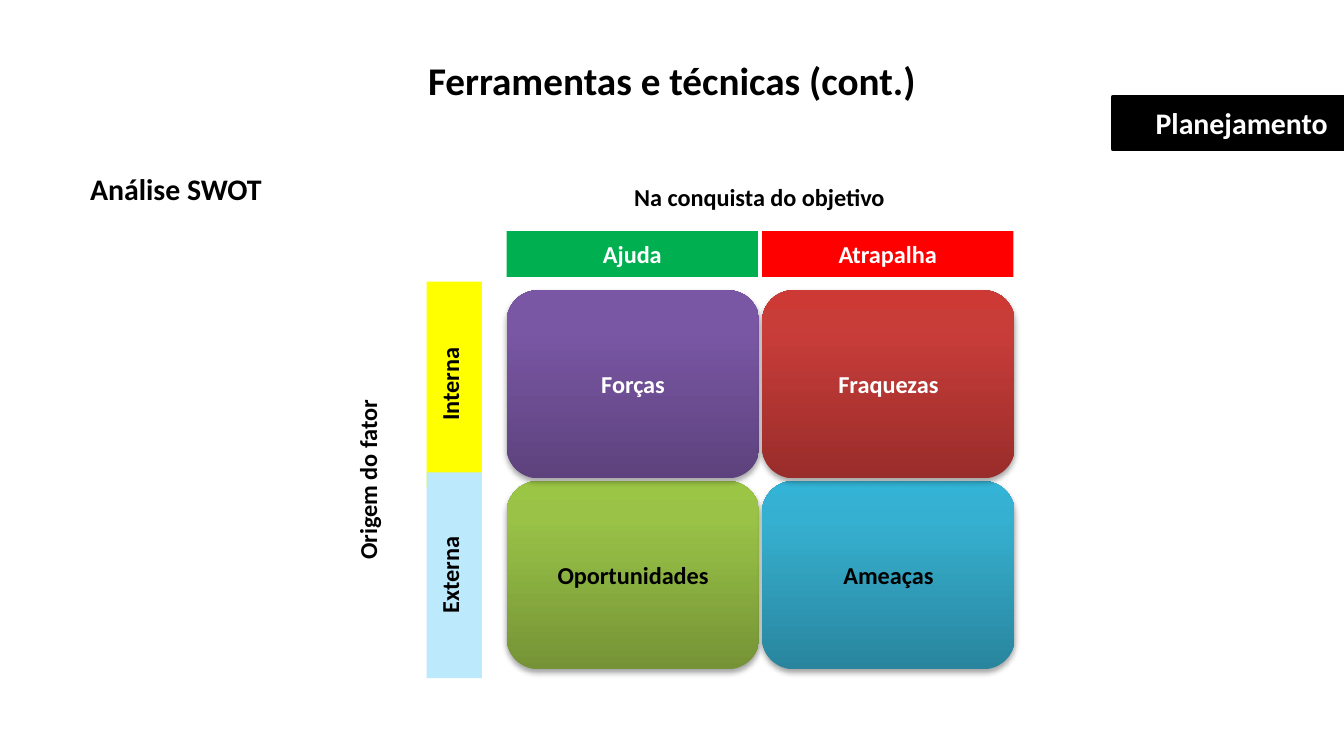
"""Build a SWOT matrix slide with labelled rows and columns."""
from copy import deepcopy

from lxml import etree
from pptx import Presentation
from pptx.dml.color import RGBColor
from pptx.enum.shapes import MSO_SHAPE
from pptx.enum.text import MSO_ANCHOR, PP_ALIGN
from pptx.oxml.ns import qn
from pptx.util import Inches, Pt

RECT, ROUND = MSO_SHAPE.RECTANGLE, MSO_SHAPE.ROUNDED_RECTANGLE
TOP, MIDDLE = MSO_ANCHOR.TOP, MSO_ANCHOR.MIDDLE
CENTER, RIGHT = PP_ALIGN.CENTER, PP_ALIGN.RIGHT

THEME = {
    "font": "Calibri",
    "title": 21, "head": 16, "label": 13,
    "black": "000000", "white": "FFFFFF",
    "green": "00B050", "red": "FF0000",
    "yellow": "FFFF00", "sky": "BCE9FB",
    "olive": ("759336", "99C247", "9BC545"),
    "purple": ("5D427D", "7A57A5", "7A56A7"),
    "teal": ("29859E", "36B0D0", "33B3D5"),
    "brick": ("992D2B", "C93D39", "CD3A36"),
}

TITLE = "Ferramentas e técnicas (cont.)"
PHASE = "Planejamento"
TOPIC = "Análise SWOT"
GOAL = "Na conquista do objetivo"
ORIGIN = "Origem do fator"
COLUMNS = [("Ajuda", "green"), ("Atrapalha", "red")]
ROWS = [("Interna", "yellow"), ("Externa", "sky")]
CELLS = [
    ("Oportunidades", 0, 1, "olive", "black"),
    ("Forças", 0, 0, "purple", "white"),
    ("Ameaças", 1, 1, "teal", "black"),
    ("Fraquezas", 1, 0, "brick", "white"),
]

WIDTH = 10
HEIGHT = WIDTH * 9 / 16
LEFT, UPPER = 3.77, 2.16
CELL_W, CELL_H = 1.88, 1.4
STEP_X, STEP_Y = 1.9, 1.42
BAND_W, BAND_H = 1.87, 0.34
SIDE_W, SIDE_H = 1.53, 0.41
SIDE_X, ORIGIN_X = 3.38, 2.77


def color(name):
    return RGBColor.from_string(THEME[name])


def put(parent, text, x, y, w, h, size="label", ink="black", fill=None,
        kind=RECT, align=CENTER, anchor=TOP, turn=0):
    frame = [Inches(v) for v in (x, y, w, h)]
    if fill:
        shape = parent.add_shape(kind, *frame)
        shape.shadow.inherit = False
        shape.line.fill.background()
        if isinstance(THEME[fill], str):
            shape.fill.solid()
            shape.fill.fore_color.rgb = color(fill)
    else:
        shape = parent.add_textbox(*frame)
    shape.rotation = turn
    body = shape.text_frame
    body.word_wrap = True
    body.vertical_anchor = anchor
    body.margin_left = body.margin_right = Inches(0.12)
    body.margin_top = body.margin_bottom = Inches(0.06)
    line = body.paragraphs[0]
    line.alignment = align
    run = line.add_run()
    run.text = text
    run.font.name = THEME["font"]
    run.font.size = Pt(THEME[size])
    run.font.bold = True
    run.font.color.rgb = color(ink)
    return shape


def shade(shape, tones):
    shape.fill.gradient()
    shape.fill.gradient_angle = 90
    props = shape.element.spPr
    stops = props.find(".//" + qn("a:gsLst"))
    stops.append(deepcopy(stops[0]))
    for stop, place, tone in zip(shape.fill.gradient_stops, (0, 0.8, 1), tones):
        stop.position = place
        stop.color.rgb = RGBColor.from_string(tone)
    effect = props.find(qn("a:effectLst"))
    shadow = etree.SubElement(
        effect, qn("a:outerShdw"), blurRad=str(Pt(3.1)), dist=str(Pt(1.8)),
        dir="5400000", rotWithShape="0")
    tint = etree.SubElement(shadow, qn("a:srgbClr"), val=THEME["black"])
    etree.SubElement(tint, qn("a:alpha"), val="35000")


def draw_matrix(parent):
    for text, col, row, fill, ink in CELLS:
        cell = put(parent, text, LEFT + col * STEP_X, UPPER + row * STEP_Y,
                   CELL_W, CELL_H, ink=ink, fill=fill, kind=ROUND,
                   anchor=MIDDLE)
        shade(cell, THEME[fill])
    for col, (text, fill) in enumerate(COLUMNS):
        put(parent, text, LEFT + col * STEP_X, 1.72, BAND_W, BAND_H,
            ink="white", fill=fill)
    for row, (text, fill) in enumerate(ROWS):
        middle = UPPER + row * STEP_Y + CELL_H / 2
        put(parent, text, SIDE_X - SIDE_W / 2, middle - SIDE_H / 2,
            SIDE_W, SIDE_H, fill=fill, turn=270)
    put(parent, GOAL, LEFT, 1.3, 2 * CELL_W, BAND_H)
    middle = UPPER + (STEP_Y + CELL_H) / 2
    put(parent, ORIGIN, ORIGIN_X - SIDE_W, middle - SIDE_H / 2,
        2 * SIDE_W, SIDE_H, turn=270)


def main():
    deck = Presentation()
    deck.slide_width, deck.slide_height = Inches(WIDTH), Inches(HEIGHT)
    shapes = deck.slides.add_slide(deck.slide_layouts[6]).shapes
    put(shapes, TITLE, 0, 0.36, WIDTH, 0.48, size="title")
    phase = put(shapes, PHASE, 8.28, 0.72, 1.72, 0.39, size="head",
                ink="white", fill="black", align=RIGHT, anchor=MIDDLE)
    phase.line.color.rgb = color("black")
    phase.line.width = Pt(2)
    draw_matrix(shapes.add_group_shape().shapes)
    put(shapes, TOPIC, 0.54, 1.21, 1.54, 0.4, size="head")
    deck.save("out.pptx")


if __name__ == "__main__":
    main()
